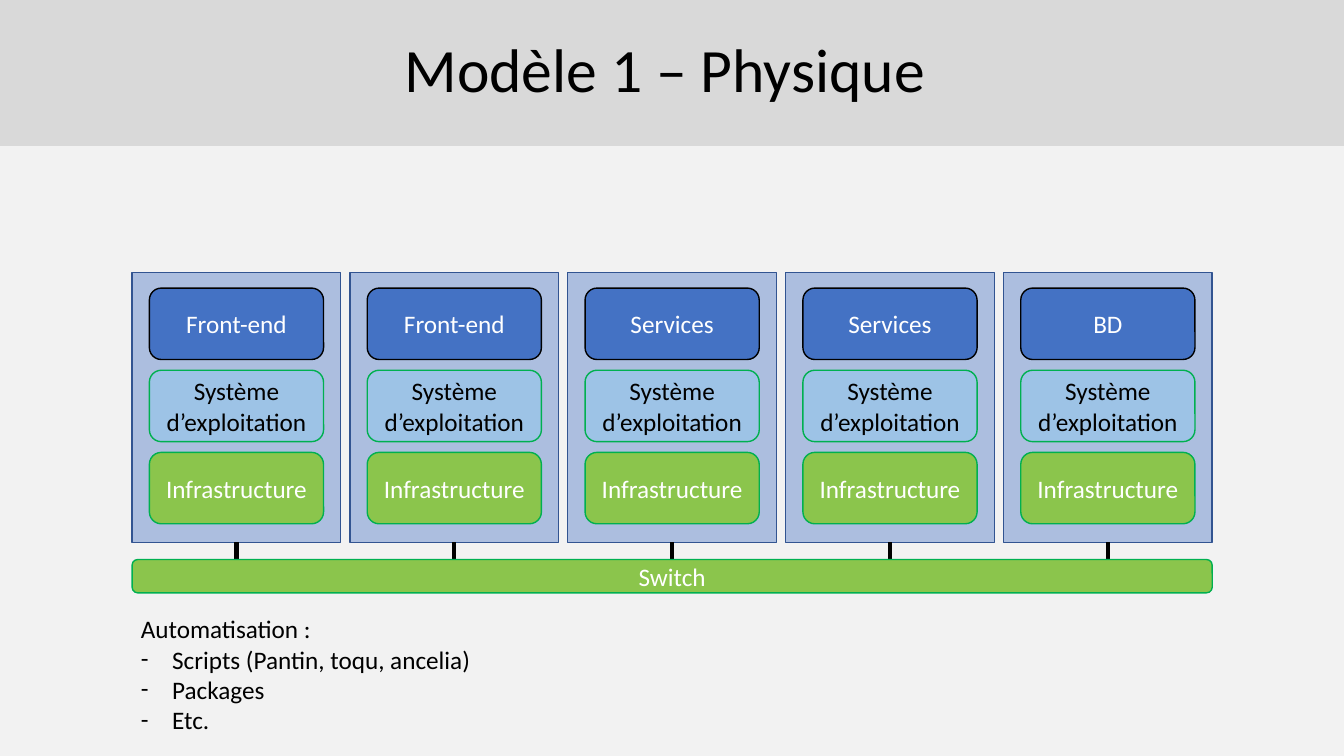
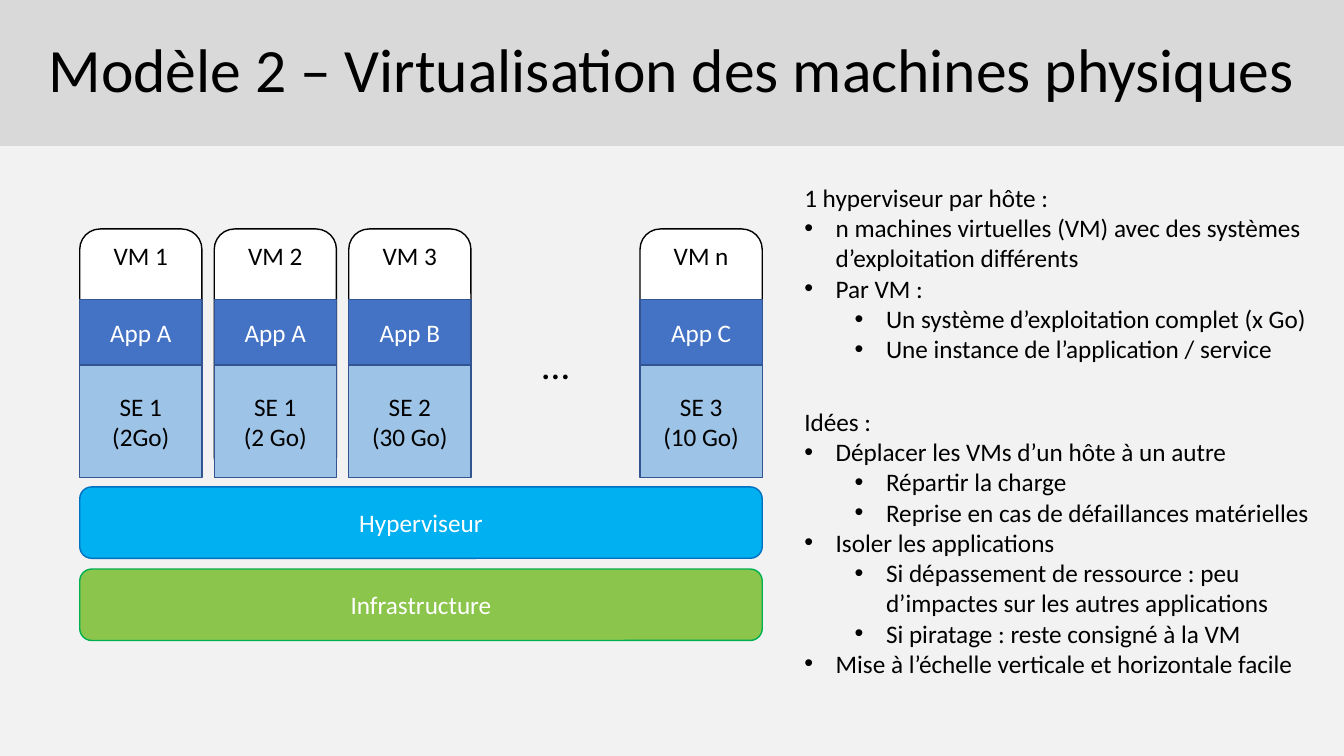
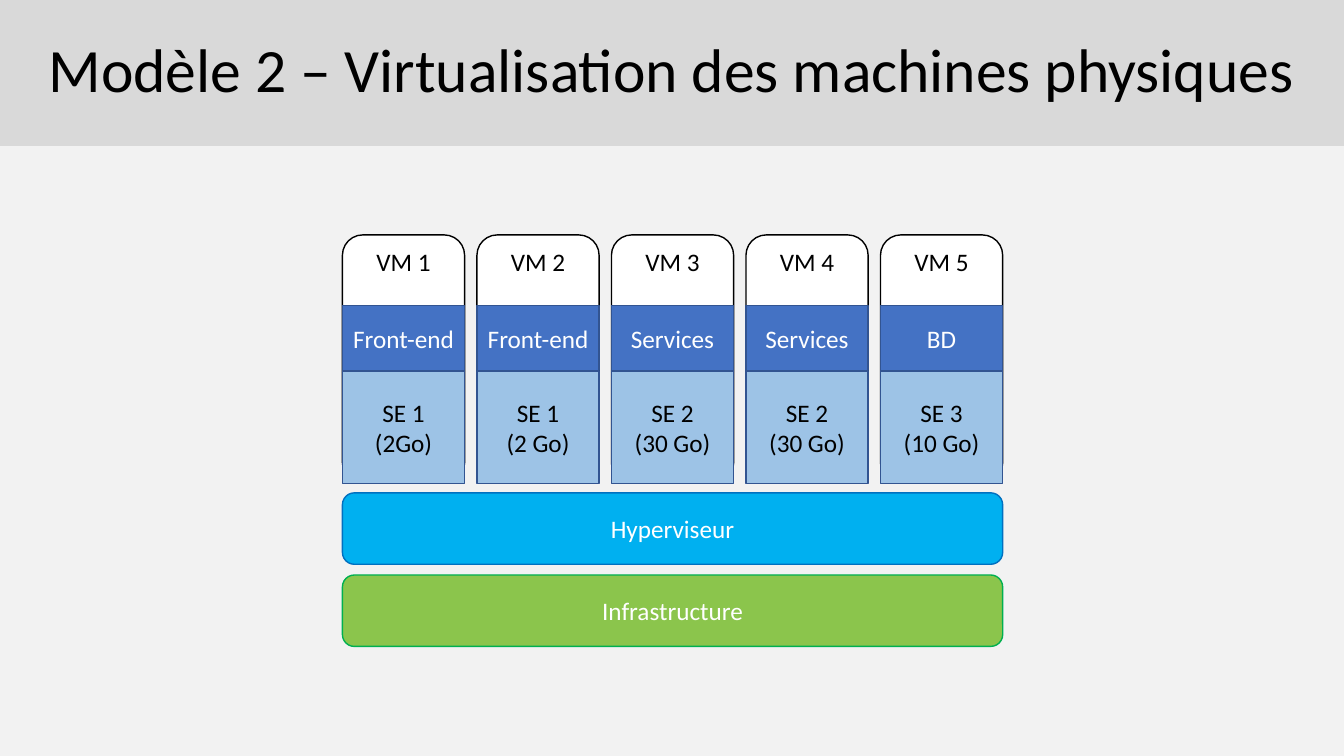
from dataclasses import dataclass
from typing import Any, NamedTuple, Optional

from lxml import etree
from pptx import Presentation
from pptx.dml.color import RGBColor
from pptx.enum.shapes import MSO_CONNECTOR, MSO_SHAPE
from pptx.enum.text import MSO_ANCHOR, PP_ALIGN
from pptx.oxml.ns import qn
from pptx.util import Cm, Pt

RECT, ROUND = MSO_SHAPE.RECTANGLE, MSO_SHAPE.ROUNDED_RECTANGLE
STRAIGHT = MSO_CONNECTOR.STRAIGHT
TOP, MIDDLE = MSO_ANCHOR.TOP, MSO_ANCHOR.MIDDLE
LEFT, CENTER = PP_ALIGN.LEFT, PP_ALIGN.CENTER


@dataclass(frozen=True)
class Theme:
    font: str = "Calibri"
    bullet_font: str = "Arial"
    title_size: int = 44
    ellipsis_size: int = 28
    body_size: int = 18
    line_width: int = 1
    cable_width: int = 3
    page: str = "F2F2F2"
    band: str = "D9D9D9"
    black: str = "000000"
    white: str = "FFFFFF"
    blue: str = "4472C4"
    navy: str = "325491"
    sky: str = "9DC3E6"
    cyan: str = "00B0F0"
    ocean: str = "0070C0"
    lime: str = "8BC54C"
    green: str = "00B050"


THEME = Theme()


class Frame(NamedTuple):
    """A rectangle in centimetres."""
    left: float
    top: float
    width: float
    height: float

    def lengths(self) -> list:
        return [Cm(value) for value in self]


@dataclass(frozen=True)
class Style:
    fill: str
    line: Optional[str] = None
    text: str = THEME.white
    shape: Any = ROUND
    anchor: Any = MIDDLE
    size: int = THEME.body_size
    opacity: int = 100
    spacing: Optional[float] = None


TITLE = Style(THEME.band, None, THEME.black, RECT, size=THEME.title_size, spacing=0.9)
SERVER = Style(THEME.blue, THEME.navy, shape=RECT, opacity=40)
SERVICE = Style(THEME.blue, THEME.black)
SYSTEM = Style(THEME.sky, THEME.green, THEME.black)
HARDWARE = Style(THEME.lime, THEME.green)
HYPERVISOR = Style(THEME.cyan, THEME.ocean)
VM = Style(THEME.white, THEME.black, THEME.black, anchor=TOP)
VM_APP = Style(THEME.blue, THEME.navy, shape=RECT)
VM_SYSTEM = Style(THEME.sky, THEME.navy, THEME.black, RECT)


class Item(NamedTuple):
    """A line of a list; level 0 is its heading, without a bullet."""
    text: str
    level: int = 1


class Machine(NamedTuple):
    name: str
    app: str
    system: str


PAGE_WIDTH, PAGE_HEIGHT, BAND_HEIGHT = 33.87, 19.05, 3.68
SERVER_PITCH, SERVER_WIDTH = 5.49, 5.26
LAYER_PITCH, LAYER_HEIGHT, LAYER_WIDTH = 2.07, 1.8, 4.39
VM_PITCH, VM_WIDTH = 3.39, 3.08
BULLET_HANG, LEVEL_STEP = 0.79, 1.27

SERVERS = ["Front-end", "Front-end", "Services", "Services", "BD"]

AUTOMATION = [
    Item("Automatisation :"),
    Item("Scripts (Pantin, toqu, ancelia)"),
    Item("Packages"),
    Item("Etc."),
]
HOST_NOTES = [
    Item("1 hyperviseur par hôte :", 0),
    Item("n machines virtuelles (VM) avec des systèmes d’exploitation différents"),
    Item("Par VM :"),
    Item("Un système d’exploitation complet (x Go)", 2),
    Item("Une instance de l’application / service", 2),
]
IDEAS = [
    Item("Idées :", 0),
    Item("Déplacer les VMs d’un hôte à un autre"),
    Item("Répartir la charge", 2),
    Item("Reprise en cas de défaillances matérielles", 2),
    Item("Isoler les applications"),
    Item("Si dépassement de ressource : peu d’impactes sur les autres applications", 2),
    Item("Si piratage : reste consigné à la VM", 2),
    Item("Mise à l’échelle verticale et horizontale facile"),
]
AUTOMATION[0] = Item("Automatisation :", 0)

GENERIC_VMS = [
    Machine("VM 1", "App A", "SE 1\n(2Go)"),
    Machine("VM 2", "App A", "SE 1\n(2 Go)"),
    Machine("VM 3", "App B", "SE 2\n(30 Go)"),
    Machine("VM n", "App C", "SE 3\n(10 Go)"),
]
SERVICE_VMS = [
    Machine("VM 1", "Front-end", "SE 1\n(2Go)"),
    Machine("VM 2", "Front-end", "SE 1\n(2 Go)"),
    Machine("VM 3", "Services", "SE 2\n(30 Go)"),
    Machine("VM 4", "Services", "SE 2\n(30 Go)"),
    Machine("VM 5", "BD", "SE 3\n(10 Go)"),
]


def apply(target: Any, values: dict) -> None:
    for name, value in values.items():
        setattr(target, name, value)


def write(para: Any, text: str, size: int, color: str, align: Any = LEFT) -> None:
    para.alignment = align
    span = para.add_run()
    span.text = text
    apply(span.font, {"name": THEME.font, "size": Pt(size)})
    span.font.color.rgb = RGBColor.from_string(color)


def add_box(page: Any, frame: Frame, style: Style, text: str = "") -> None:
    box = page.shapes.add_shape(style.shape, *frame.lengths())
    box.shadow.inherit = False
    box.fill.solid()
    box.fill.fore_color.rgb = RGBColor.from_string(style.fill)
    if style.opacity < 100:
        color = box.fill._xPr.find(".//" + qn("a:srgbClr"))
        etree.SubElement(color, qn("a:alpha"), val=str(style.opacity * 1000))
    if style.line:
        box.line.color.rgb = RGBColor.from_string(style.line)
        box.line.width = Pt(style.line_width if hasattr(style, "line_width") else THEME.line_width)
    else:
        box.line.fill.background()
    apply(box.text_frame, {"word_wrap": True, "vertical_anchor": style.anchor})
    for index, line in enumerate(text.split("\n") if text else []):
        para = box.text_frame.add_paragraph() if index else box.text_frame.paragraphs[0]
        if style.spacing:
            para.line_spacing = style.spacing
        write(para, line, style.size, style.text, CENTER)


def add_bullet(para: Any, level: int, mark: str, font: str) -> None:
    para.level = level - 1
    indent = BULLET_HANG + LEVEL_STEP * (level - 1)
    properties = para._p.get_or_add_pPr()
    properties.set("marL", str(Cm(indent)))
    properties.set("indent", str(-Cm(BULLET_HANG)))
    etree.SubElement(properties, qn("a:buFont"), typeface=font)
    etree.SubElement(properties, qn("a:buChar"), char=mark)


def add_text(page: Any, frame: Frame, items: list[Item], mark: str = "•",
             font: str = THEME.bullet_font, size: int = THEME.body_size,
             wrap: bool = True) -> None:
    box = page.shapes.add_textbox(*frame.lengths())
    box.text_frame.word_wrap = wrap
    for index, item in enumerate(items):
        para = box.text_frame.add_paragraph() if index else box.text_frame.paragraphs[0]
        write(para, item.text, size, THEME.black)
        if item.level:
            add_bullet(para, item.level, mark, font)


def add_cable(page: Any, x: float, top: float, bottom: float) -> None:
    cable = page.shapes.add_connector(STRAIGHT, Cm(x), Cm(top), Cm(x), Cm(bottom))
    cable.line.color.rgb = RGBColor.from_string(THEME.black)
    cable.line.width = Pt(THEME.cable_width)
    etree.SubElement(cable._element.spPr, qn("a:effectLst"))


def add_page(deck: Any, title: str) -> Any:
    page = deck.slides.add_slide(deck.slide_layouts[6])
    page.background.fill.solid()
    page.background.fill.fore_color.rgb = RGBColor.from_string(THEME.page)
    add_box(page, Frame(0, 0, PAGE_WIDTH, BAND_HEIGHT), TITLE, title)
    return page


def add_server(page: Any, left: float, top: float, service: str) -> None:
    height, switch_gap = 6.81, 0.43
    add_box(page, Frame(left, top, SERVER_WIDTH, height), SERVER)
    layers = [(SERVICE, service), (SYSTEM, "Système d’exploitation"),
              (HARDWARE, "Infrastructure")]
    inset = (SERVER_WIDTH - LAYER_WIDTH) / 2
    for index, (style, text) in enumerate(layers):
        layer_top = top + 0.4 + index * LAYER_PITCH
        add_box(page, Frame(left + inset, layer_top, LAYER_WIDTH, LAYER_HEIGHT), style, text)
    bottom = top + height
    add_cable(page, left + SERVER_WIDTH / 2, bottom, bottom + switch_gap)


def add_host(page: Any, left: float, top: float, width: float,
             machines: list[Machine]) -> None:
    """Draw the machines on their host, the last one flush with its right edge."""
    bars = [(HYPERVISOR, "Hyperviseur"), (HARDWARE, "Infrastructure")]
    for index, (style, text) in enumerate(bars):
        bar_top = top + 6.5 + index * LAYER_PITCH
        add_box(page, Frame(left, bar_top, width, LAYER_HEIGHT), style, text)
    offsets = [index * VM_PITCH for index in range(len(machines) - 1)]
    offsets.append(width - VM_WIDTH)
    for offset, machine in zip(offsets, machines):
        parts = [(VM, machine.name, 0, 6.25), (VM_APP, machine.app, 1.78, 1.64),
                 (VM_SYSTEM, machine.system, 3.43, 2.84)]
        for style, text, drop, height in parts:
            add_box(page, Frame(left + offset, top + drop, VM_WIDTH, height), style, text)


def build_physical(deck: Any) -> None:
    page = add_page(deck, "Modèle 1 – Physique ")
    left = 3.33
    for index, service in enumerate(SERVERS):
        add_server(page, left + index * SERVER_PITCH, 6.86, service)
    row_width = (len(SERVERS) - 1) * SERVER_PITCH + SERVER_WIDTH
    add_box(page, Frame(left, 14.1, row_width, 0.84), HARDWARE, "Switch")
    add_text(page, Frame(3.3, 15.34, 9.02, 3.32), AUTOMATION, "-", THEME.font, wrap=False)


def build_virtual(deck: Any) -> None:
    title = "Modèle 2 – Virtualisation des machines physiques"
    page = add_page(deck, title)
    add_host(page, 2.01, 5.77, 17.2, GENERIC_VMS)
    add_text(page, Frame(13.41, 8.46, 1.19, 1.45), [Item("…", 0)],
             size=THEME.ellipsis_size, wrap=False)
    add_text(page, Frame(20.02, 4.47, 13.36, 5.64), HOST_NOTES)
    add_text(page, Frame(20.02, 10.11, 13.36, 7.95), IDEAS)

    page = add_page(deck, title)
    add_host(page, 8.63, 5.92, 4 * VM_PITCH + VM_WIDTH, SERVICE_VMS)


def main() -> None:
    deck = Presentation()
    apply(deck, {"slide_width": Cm(PAGE_WIDTH), "slide_height": Cm(PAGE_HEIGHT)})
    build_physical(deck)
    build_virtual(deck)
    deck.save("out.pptx")


if __name__ == "__main__":
    main()
